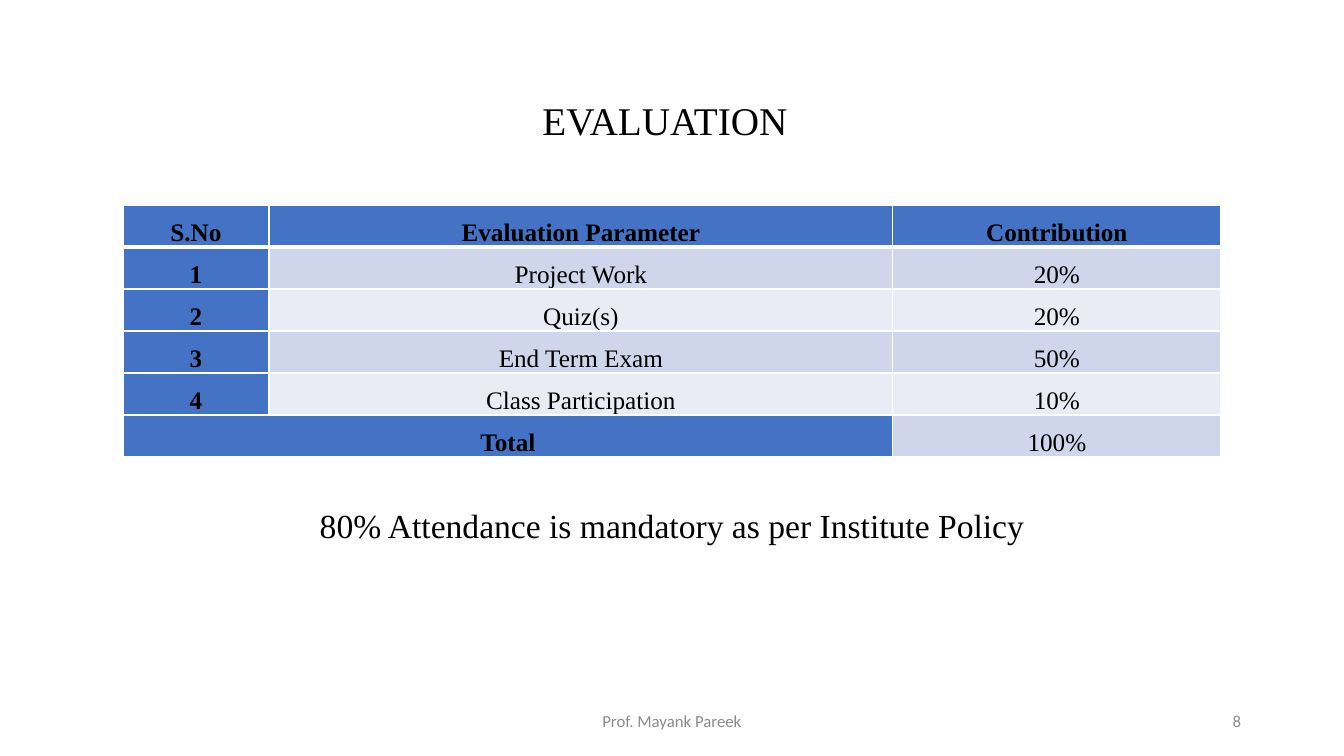
from pptx import Presentation
from pptx.dml.color import RGBColor
from pptx.enum.text import MSO_ANCHOR as Anchor, PP_ALIGN as Align
from pptx.oxml import parse_xml
from pptx.oxml.ns import nsdecls
from pptx.util import Pt

EMU_PER_PX = 914400 / 100.8
SERIF, SANS = "Times New Roman", "Calibri"
BLACK, WHITE, GREY = "000000", "FFFFFF", "8C8C8C"
BLUE, BAND_DARK, BAND_LIGHT = "4472C4", "CFD5EA", "E9EBF5"

COLUMN_WIDTHS = [146, 624, 328]
ROW_HEIGHT = 42
ROWS = [
    ("S.No", "Evaluation Parameter", "Contribution"),
    ("1", "Project Work", "20%"),
    ("2", "Quiz(s)", "20%"),
    ("3", "End Term Exam", "50%"),
    ("4", "Class Participation", "10%"),
    ("Total", "", "100%"),
]


def px(length):
    return round(length * EMU_PER_PX)


def color(hex_string):
    return RGBColor.from_string(hex_string)


def write(frame, text, size=18, font=SERIF, fill=BLACK, bold=False,
          align=Align.CENTER, anchor=Anchor.MIDDLE, spacing=1.0):
    frame.word_wrap = True
    frame.vertical_anchor = anchor
    paragraph = frame.paragraphs[0]
    paragraph.alignment = align
    paragraph.line_spacing = spacing
    run = paragraph.add_run()
    run.text = text
    run.font.size = Pt(size)
    run.font.name = font
    run.font.bold = bold
    run.font.color.rgb = color(fill)


def add_borders(cell, top, bottom):
    """Draw white cell edges; top and bottom are widths in points."""
    properties = cell._tc.get_or_add_tcPr()
    for side, width in (("L", 1), ("R", 1), ("T", top), ("B", bottom)):
        properties.append(parse_xml(
            f'<a:ln{side} {nsdecls("a")} w="{Pt(width)}"><a:solidFill>'
            f'<a:srgbClr val="{WHITE}"/></a:solidFill></a:ln{side}>'))


class SlideBuilder:
    def __init__(self, presentation):
        self.slide = presentation.slides.add_slide(presentation.slide_layouts[6])

    def text(self, text, left, top, width, height, **style):
        box = self.slide.shapes.add_textbox(px(left), px(top), px(width), px(height))
        write(box.text_frame, text, **style)

    def table(self, rows, left, top, widths, row_height):
        """Add a table with a header row, a header column and banded rows."""
        table = self.slide.shapes.add_table(
            len(rows), len(widths), px(left), px(top),
            px(sum(widths)), px(row_height * len(rows))).table
        for column, width in zip(table.columns, widths):
            column.width = px(width)
        for row_index, values in enumerate(rows):
            table.rows[row_index].height = px(row_height)
            for column_index, value in enumerate(values):
                self.cell(table.cell(row_index, column_index), value,
                          row_index, column_index)
        return table

    def cell(self, cell, value, row_index, column_index):
        is_header = row_index == 0 or column_index == 0
        band = BAND_DARK if row_index % 2 else BAND_LIGHT
        add_borders(cell, top=3 if row_index == 1 else 1,
                    bottom=3 if row_index == 0 else 1)
        cell.fill.solid()
        cell.fill.fore_color.rgb = color(BLUE if is_header else band)
        cell.margin_left = cell.margin_right = px(7)
        cell.margin_top = cell.margin_bottom = 0
        cell.vertical_anchor = Anchor.BOTTOM
        if value:
            write(cell.text_frame, value, bold=is_header,
                  anchor=None, spacing=1.07)


def main():
    presentation = Presentation()
    presentation.slide_width = px(1344)
    presentation.slide_height = px(756)
    builder = SlideBuilder(presentation)

    builder.text("EVALUATION", 85, 50, 1160, 146, size=28, spacing=0.9)
    table = builder.table(ROWS, 123, 205, COLUMN_WIDTHS, ROW_HEIGHT)
    total_row = len(ROWS) - 1
    table.cell(total_row, 0).merge(table.cell(total_row, 1))
    builder.text("80% Attendance is mandatory as per Institute Policy",
                 123, 500, 1098, 50, size=24, anchor=Anchor.TOP)

    footer = dict(size=12, font=SANS, fill=GREY)
    builder.text("Prof. Mayank Pareek", 445, 701, 454, 40, **footer)
    builder.text("8", 949, 701, 302, 40, align=Align.RIGHT, **footer)
    presentation.save("out.pptx")


if __name__ == "__main__":
    main()
